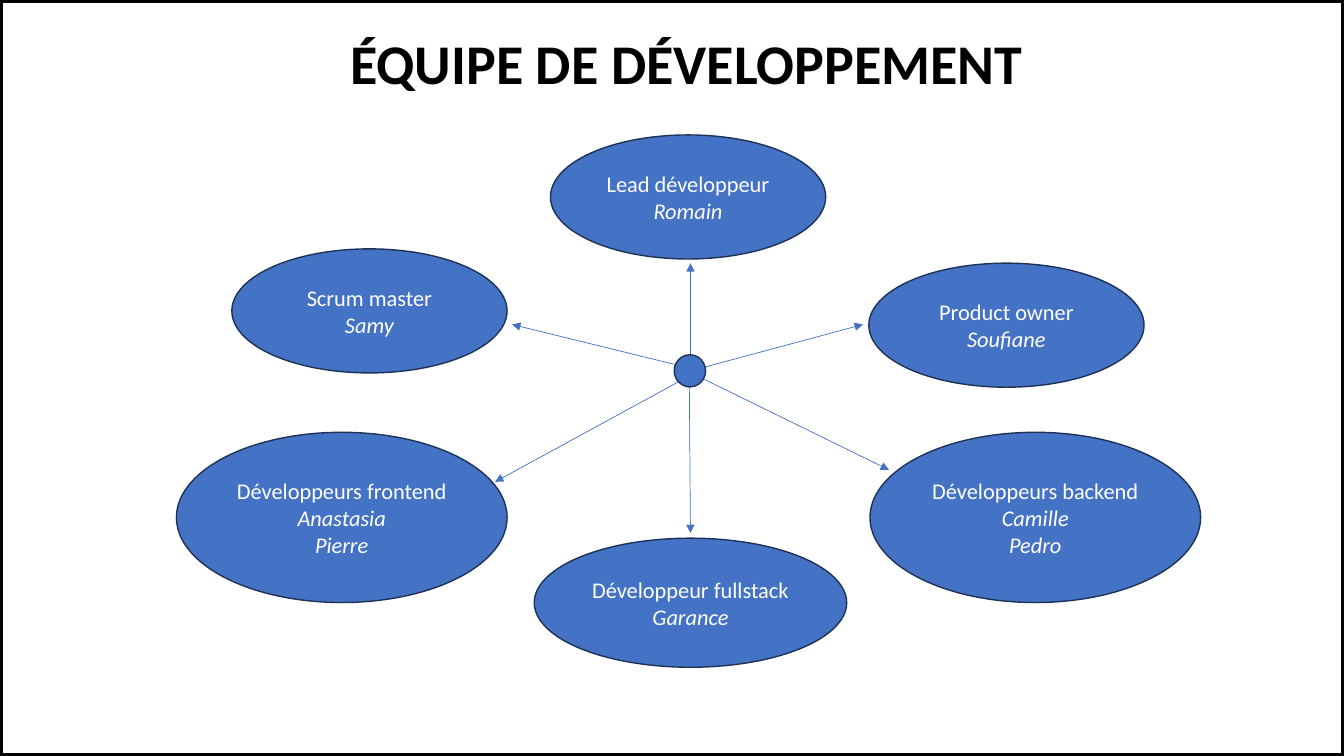
"""Build the development team slide: six roles around a central hub."""
from lxml.etree import SubElement
from pptx import Presentation
from pptx.dml.color import RGBColor
from pptx.enum.shapes import MSO_CONNECTOR, MSO_SHAPE
from pptx.enum.text import MSO_ANCHOR, PP_ALIGN
from pptx.oxml import parse_xml
from pptx.oxml.ns import nsdecls, qn
from pptx.util import Inches, Pt

THEME = {
    "font": "Calibri", "title": Pt(40), "body": Pt(16),
    "ink": RGBColor(0x00, 0x00, 0x00), "paper": RGBColor(0xFF, 0xFF, 0xFF),
    "blue": RGBColor(0x44, 0x72, 0xC4), "edge": RGBColor(0x1E, 0x32, 0x56),
    "frame": Pt(4.5), "outline": Pt(1), "arrow": Pt(0.5),
}
COLS, ROWS = 48, 27

prs = Presentation()
prs.slide_width, prs.slide_height = Inches(13.33), Inches(7.5)
W, H = prs.slide_width, prs.slide_height
s = prs.slides.add_slide(prs.slide_layouts[5])


def grid(*lengths):
    """Turn alternating column and row counts into slide lengths."""
    return [int(n * (H / ROWS if i % 2 else W / COLS)) for i, n in enumerate(lengths)]


def add_node(kind, box):
    """Add a blue outlined shape on the grid."""
    sp = s.shapes.add_shape(kind, *grid(*box))
    sp.shadow.inherit = False
    sp.fill.solid()
    sp.fill.fore_color.rgb = THEME["blue"]
    sp.line.color.rgb = THEME["edge"]
    sp.line.width = THEME["outline"]
    return sp


title = s.shapes.title
title.left, title.top, title.width, title.height = grid(12.02, 0.83, 24.98, 2.77)
tf = title.text_frame
tf.text = "ÉQUIPE DE DÉVELOPPEMENT"
tf.word_wrap = False
p = tf.paragraphs[0]
p.alignment = PP_ALIGN.CENTER
p.font.name, p.font.size, p.font.bold = THEME["font"], THEME["title"], True
p.font.color.rgb = THEME["ink"]

table = s.shapes.add_table(1, 1, 0, 0, W, H).table
table.first_row = table.horz_banding = False
cell = table.cell(0, 0)
tcPr = cell._tc.get_or_add_tcPr()
for side in ("lnL", "lnR", "lnT", "lnB"):
    tcPr.append(parse_xml(
        f'<a:{side} {nsdecls("a")} w="{THEME["frame"]}"><a:solidFill>'
        f'<a:srgbClr val="{THEME["ink"]}"/></a:solidFill></a:{side}>'))
cell.fill.background()

team = [
    ((19.66, 4.82, 9.83, 4.43), "Lead développeur", ["Romain"]),
    ((8.28, 8.89, 9.83, 4.43), "Scrum master", ["Samy"]),
    ((31.03, 9.4, 9.83, 4.43), "Product owner", ["Soufiane"]),
    ((6.3, 15.44, 11.81, 6.08), "Développeurs frontend", ["Anastasia", "Pierre"]),
    ((19.08, 19.22, 11.16, 4.61), "Développeur fullstack", ["Garance"]),
    ((31.07, 15.44, 11.81, 6.08), "Développeurs backend", ["Camille", "Pedro"]),
]
for box, role, members in team:
    tf = add_node(MSO_SHAPE.OVAL, box).text_frame
    tf.text = "\n".join([role, *members])
    tf.word_wrap = True
    tf.vertical_anchor = MSO_ANCHOR.MIDDLE
    for i, p in enumerate(tf.paragraphs):
        p.alignment = PP_ALIGN.CENTER
        p.font.name, p.font.size, p.font.italic = THEME["font"], THEME["body"], i > 0
        p.font.color.rgb = THEME["paper"]

arrows = [
    (24.66, 13.1, 24.66, 9.4),
    (24.44, 13.1, 18.29, 11.59),
    (24.8, 13.21, 30.82, 11.59),
    (24.77, 13.36, 31.75, 16.78),
    (24.23, 13.64, 17.68, 17.21),
    (24.62, 13.82, 24.66, 19.04),
]
for ends in arrows:
    line = s.shapes.add_connector(MSO_CONNECTOR.STRAIGHT, *grid(*ends))
    line.line.color.rgb = THEME["blue"]
    line.line.width = THEME["arrow"]
    SubElement(line.line._get_or_add_ln(), qn("a:tailEnd"), type="triangle")
    SubElement(line._element.spPr, qn("a:effectLst"))

add_node(MSO_SHAPE.FLOWCHART_CONNECTOR, (24.08, 12.67, 1.12, 1.15))

prs.save("out.pptx")
